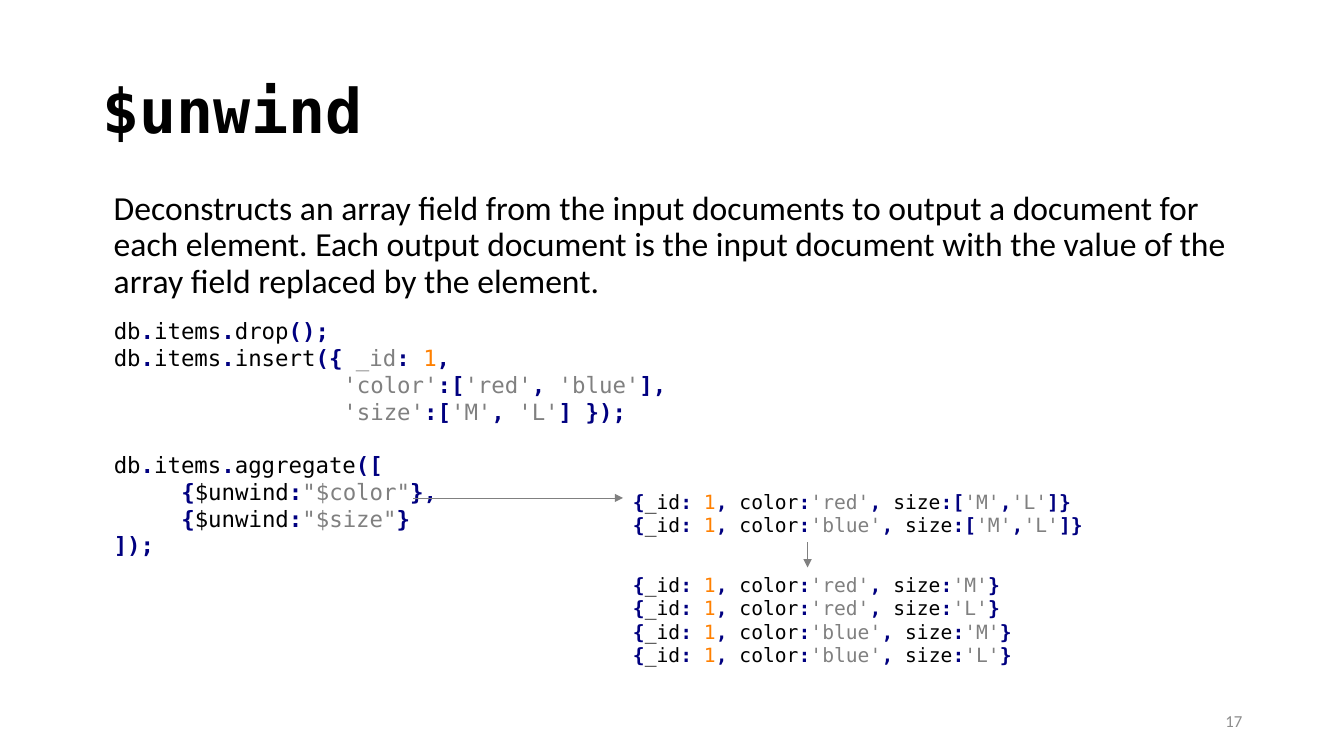
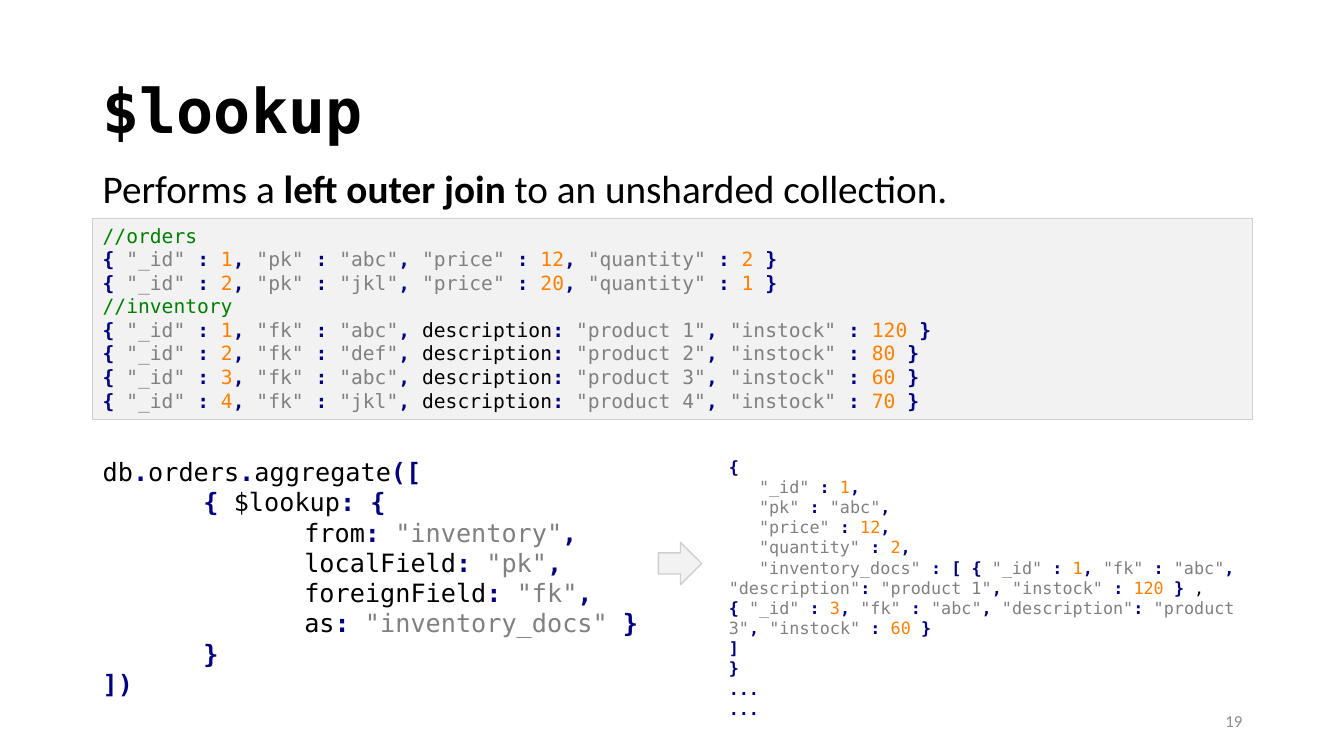
from itertools import groupby

from lxml.etree import SubElement
from pptx import Presentation
from pptx.dml.color import RGBColor
from pptx.enum.shapes import MSO_CONNECTOR, MSO_SHAPE
from pptx.enum.text import MSO_ANCHOR, PP_ALIGN
from pptx.oxml.ns import qn
from pptx.util import Inches, Pt

BLACK = RGBColor(0x00, 0x00, 0x00)
NAVY = RGBColor(0x00, 0x00, 0x80)
GRAY = RGBColor(0x80, 0x80, 0x80)
ORANGE = RGBColor(0xFF, 0x80, 0x00)
GREEN = RGBColor(0x00, 0x80, 0x00)
NUMBER_GRAY = RGBColor(0x8C, 0x8C, 0x8C)
PANEL = RGBColor(0xF2, 0xF2, 0xF2)
PANEL_EDGE = RGBColor(0xD0, 0xCE, 0xCE)

SANS, MONO = "Calibri", "DejaVu Sans Mono"
LINE_HEIGHT = 1.164
MARGIN, WIDTH = 0.92, 11.5
TITLE_BOX = (MARGIN, 0.4, WIDTH, 1.45)
NUMBER_BOX = (9.42, 6.95, 3, 0.4)
QUOTES = "'\"`~"
MARKERS = {"`": GRAY, "~": BLACK}

UNWIND_QUERY = """
db.items.drop();
db.items.insert({ `_id`: 1,
                 'color':['red', 'blue'],
                 'size':['M', 'L'] });

db.items.aggregate([
     {$unwind:"$color"},
     {$unwind:"$size"}
]);
"""

UNWIND_COLOR = """
{_id: 1, color:'red', size:['M','L']}
{_id: 1, color:'blue', size:['M','L']}
"""

UNWIND_SIZE = """
{_id: 1, color:'red', size:'M'}
{_id: 1, color:'red', size:'L'}
{_id: 1, color:'blue', size:'M'}
{_id: 1, color:'blue', size:'L'}
"""

LOOKUP_DATA = """
//orders
{ "_id" : 1, "pk" : "abc", "price" : 12, "quantity" : 2 }
{ "_id" : 2, "pk" : "jkl", "price" : 20, "quantity" : 1 }
//inventory
{ "_id" : 1, "fk" : "abc", description: "product 1", "instock" : 120 }
{ "_id" : 2, "fk" : "def", description: "product 2", "instock" : 80 }
{ "_id" : 3, "fk" : "abc", description: "product 3", "instock" : 60 }
{ "_id" : 4, "fk" : "jkl", description: "product 4", "instock" : 70 }
"""

LOOKUP_QUERY = """
db.orders.aggregate([
    { $lookup: {
        from: "inventory",
        localField: "pk",
        foreignField: "fk",
        as: "inventory_docs" }
    }
])
"""

LOOKUP_RESULT = """
{
   "_id" : 1,
   "pk" : "abc",
   "price" : 12,
   "quantity" : 2,
   "inventory_docs" : [ { "_id" : 1, "fk" : "abc", "description": "product 1", "instock" : 120 }~ ,~
{ "_id" : 3, "fk" : "abc", "description": "product 3", "instock" : 60 }
]
}
...
...
"""

SLIDES = [
    {
        "title": "$unwind", "number": "17",
        "body": {
            "box": (1.03, 1.85, WIDTH, 1.25), "size": 24, "spacing": 0.9,
            "runs": [("Deconstructs an array field from the input documents to output "
                      "a document for each element. Each output document is the input "
                      "document with the value of the array field replaced by the "
                      "element.", False)],
        },
        "code": [
            {"text": UNWIND_QUERY, "box": (1.03, 3.1, 8.01, 2.52), "size": 16, "step": 0.134},
            {"text": UNWIND_COLOR, "box": (6.18, 4.81, 5.46, 0.57), "size": 14},
            {"text": UNWIND_SIZE, "box": (6.18, 5.63, 4.74, 1.08), "size": 14},
        ],
        "arrows": [(4.1, 4.94, 6.18, 4.94), (8.01, 5.38, 8.01, 5.63)],
    },
    {
        "title": "$lookup", "number": "19",
        "body": {
            "box": (MARGIN, 1.67, WIDTH, 0.5), "size": 28, "spacing": 0.8,
            "runs": [("Performs a ", False), ("left outer join ", True),
                     ("to an unsharded collection.", False)],
        },
        "code": [
            {"text": LOOKUP_DATA, "box": (MARGIN, 2.17, WIDTH, 1.99), "size": 14, "panel": True},
            {"text": LOOKUP_QUERY, "box": (MARGIN, 4.48, 6.67, 2.52), "size": 18, "step": 0.25},
            {"text": LOOKUP_RESULT, "box": (7.13, 4.48, 5.28, 2.73), "size": 12, "step": 0.1},
        ],
        "block_arrow": (6.53, 5.38, 0.43, 0.42),
    },
]


def add_run(p, text, size, font=SANS, color=BLACK, bold=False):
    r = p.add_run()
    r.text = text
    for name, value in {"name": font, "size": Pt(size), "bold": bold}.items():
        setattr(r.font, name, value)
    r.font.color.rgb = color


def add_box(s, box, anchor=MSO_ANCHOR.TOP):
    tf = s.shapes.add_textbox(*map(Inches, box)).text_frame
    tf.word_wrap, tf.vertical_anchor = True, anchor
    return tf


def add_panel(s, kind, box, weight):
    sp = s.shapes.add_shape(kind, *map(Inches, box))
    sp.shadow.inherit = False
    sp.fill.solid()
    sp.fill.fore_color.rgb = PANEL
    sp.line.color.rgb = PANEL_EDGE
    sp.line.width = Pt(weight)
    sp.text_frame.word_wrap = True
    sp.text_frame.vertical_anchor = MSO_ANCHOR.TOP
    return sp.text_frame


def color_chars(line):
    quote = None
    for ch in line:
        if quote or ch in QUOTES:
            color = MARKERS.get(quote or ch, GRAY)
            if ch not in MARKERS:
                yield ch, color
            if quote is None:
                quote = ch
            elif ch == quote:
                quote = None
        elif ch.isdigit():
            yield ch, ORANGE
        elif ch in ".,:;(){}[]":
            yield ch, NAVY
        else:
            yield ch, BLACK


def color_line(line):
    if line.startswith("//"):
        return [(line, GREEN)]
    return [("".join(ch for ch, _ in group), color)
            for color, group in groupby(color_chars(line), key=lambda item: item[1])]


def add_code(s, text, box, size, step=0, panel=False):
    tf = add_panel(s, MSO_SHAPE.RECTANGLE, box, 0.75) if panel else add_box(s, box)
    p, gap = None, 0
    for line in text.strip().splitlines():
        if not line:
            gap = size * LINE_HEIGHT
            continue
        p = tf.add_paragraph() if p else tf.paragraphs[0]
        p.alignment, p.space_before = PP_ALIGN.LEFT, Pt(gap)
        code = line.lstrip()
        depth = len(line) - len(code)
        if depth:
            p._p.get_or_add_pPr().set("indent", str(Inches(depth * step)))
        for part, color in color_line(code):
            add_run(p, part, size, MONO, color, color == NAVY)
        gap = 0


def add_arrow(s, ends):
    line = s.shapes.add_connector(MSO_CONNECTOR.STRAIGHT, *map(Inches, ends))
    line.line.color.rgb = GRAY
    line.line.width = Pt(0.5)
    SubElement(line.line._get_or_add_ln(), qn("a:tailEnd"), type="triangle")
    SubElement(line._element.spPr, qn("a:effectLst"))


def add_body(s, box, size, spacing, runs):
    p = add_box(s, box).paragraphs[0]
    p.line_spacing, p.space_before = spacing, Pt(10)
    for text, bold in runs:
        add_run(p, text, size, bold=bold)


def add_frame(s, title, number):
    p = add_box(s, TITLE_BOX, MSO_ANCHOR.MIDDLE).paragraphs[0]
    p.line_spacing = 0.9
    add_run(p, title, 44, MONO, bold=True)
    p = add_box(s, NUMBER_BOX, MSO_ANCHOR.MIDDLE).paragraphs[0]
    p.alignment = PP_ALIGN.RIGHT
    add_run(p, number, 12, color=NUMBER_GRAY)


def main():
    prs = Presentation()
    prs.slide_width, prs.slide_height = Inches(13.33), Inches(7.5)
    for content in SLIDES:
        s = prs.slides.add_slide(prs.slide_layouts[6])
        add_frame(s, content["title"], content["number"])
        add_body(s, **content["body"])
        for block in content["code"]:
            add_code(s, **block)
        for ends in content.get("arrows", []):
            add_arrow(s, ends)
        if "block_arrow" in content:
            add_panel(s, MSO_SHAPE.RIGHT_ARROW, content["block_arrow"], 1)
    prs.save("out.pptx")


if __name__ == "__main__":
    main()
